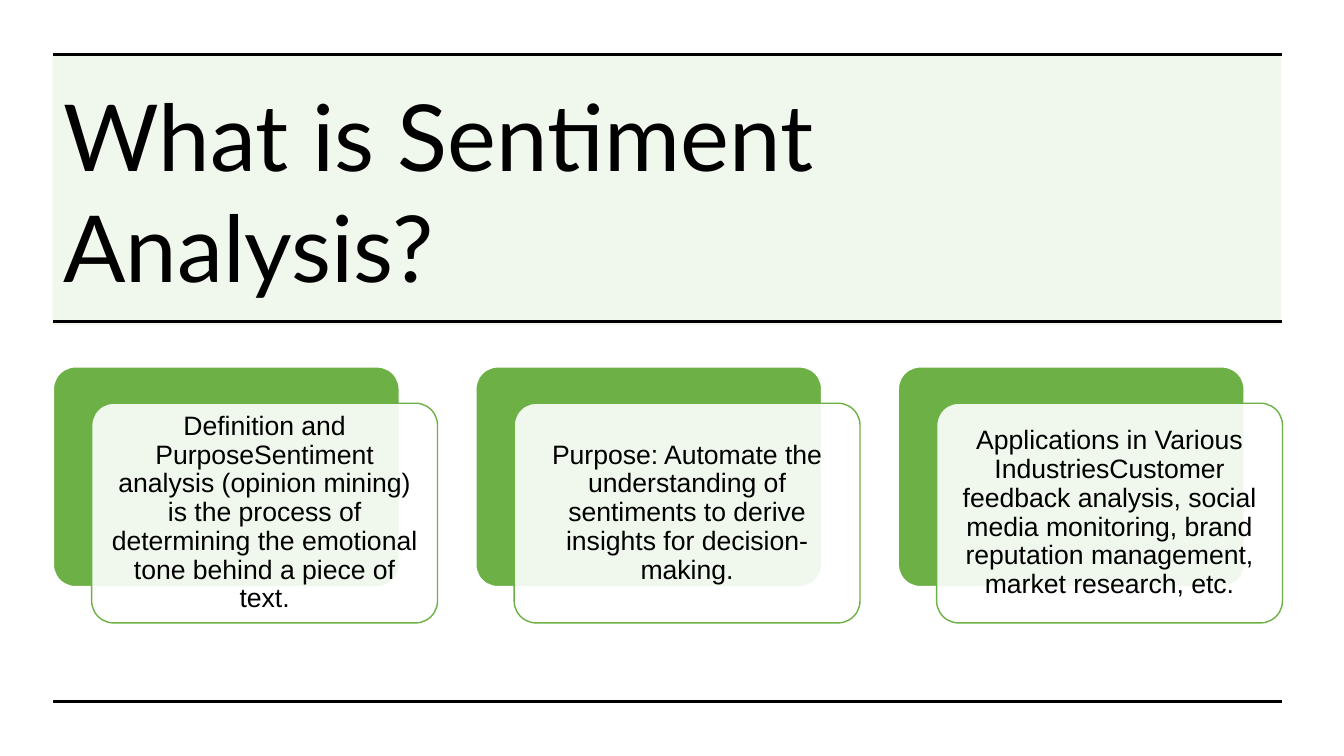
"""Build the slide that explains what sentiment analysis is."""
from lxml.etree import SubElement
from pptx import Presentation
from pptx.dml.color import RGBColor
from pptx.enum.shapes import MSO_CONNECTOR, MSO_SHAPE
from pptx.enum.text import MSO_ANCHOR, PP_ALIGN
from pptx.oxml.ns import qn
from pptx.util import Inches, Pt

TITLE = "What is Sentiment Analysis?"
CARDS = [
    "Definition and PurposeSentiment analysis (opinion mining) is the process of "
    "determining the emotional tone behind a piece of text.",
    "Purpose: Automate the understanding of sentiments to derive insights for "
    "decision-making.",
    "Applications in Various IndustriesCustomer feedback analysis, social media "
    "monitoring, brand reputation management, market research, etc.",
]
THEME = {
    "green": RGBColor(0x6D, 0xB1, 0x46),
    "white": RGBColor(0xFF, 0xFF, 0xFF),
    "black": RGBColor(0, 0, 0),
    "title_font": "Lato",
    "title_size": 66,
    "card_font": "Arial",
    "card_size": 19,
    "rule_width": 2.25,
    "outline_width": 1,
}

LEFT, RIGHT = 0.53, 12.72
RULES = [0.54, 3.19, 6.96]
CARD_TOP, CARD_WIDTH, CARD_HEIGHT = 3.64, 3.43, 2.18
CARD_PITCH = 4.19
PANEL_SHIFT = (0.38, 0.36)


def write(shape, text, *, font, size, align=PP_ALIGN.LEFT, spacing=1.0, inset=None):
    """Put one formatted, vertically centred paragraph in a shape."""
    frame = shape.text_frame
    frame.word_wrap = True
    frame.vertical_anchor = MSO_ANCHOR.MIDDLE
    if inset is not None:
        frame.margin_left = frame.margin_right = Inches(inset)
        frame.margin_top = frame.margin_bottom = Inches(inset)
    paragraph = frame.paragraphs[0]
    paragraph.alignment = align
    paragraph.line_spacing = spacing
    run = paragraph.add_run()
    run.text = text
    run.font.name = font
    run.font.size = Pt(size)
    run.font.color.rgb = THEME["black"]


def add_block(slide, kind, box, fill, opacity=100, outline=None):
    """Add a filled preset shape, with an outline if one is named."""
    block = slide.shapes.add_shape(kind, *map(Inches, box))
    block.shadow.inherit = False
    block.fill.solid()
    block.fill.fore_color.rgb = THEME[fill]
    if opacity < 100:
        colour = block.fill._xPr.find(qn("a:solidFill"))[0]
        SubElement(colour, qn("a:alpha")).set("val", str(opacity * 1000))
    if outline:
        block.line.color.rgb = THEME[outline]
        block.line.width = Pt(THEME["outline_width"])
    else:
        block.line.fill.background()
    if kind == MSO_SHAPE.ROUNDED_RECTANGLE:
        block.adjustments[0] = 0.1
    return block


def add_rule(slide, y):
    """Draw a horizontal rule between the slide margins."""
    rule = slide.shapes.add_connector(
        MSO_CONNECTOR.STRAIGHT, Inches(LEFT), Inches(y), Inches(RIGHT), Inches(y)
    )
    rule.line.color.rgb = THEME["black"]
    rule.line.width = Pt(THEME["rule_width"])
    SubElement(rule._element.spPr, qn("a:effectLst"))


def add_card(slide, index, text):
    """Draw a green backing with a translucent text panel over it."""
    left = LEFT + index * CARD_PITCH
    size = (CARD_WIDTH, CARD_HEIGHT)
    rounded = MSO_SHAPE.ROUNDED_RECTANGLE
    add_block(slide, rounded, (left, CARD_TOP, *size), "green", outline="white")
    across, down = PANEL_SHIFT
    panel = add_block(slide, rounded, (left + across, CARD_TOP + down, *size),
                      "white", opacity=90, outline="green")
    write(panel, text, font=THEME["card_font"], size=THEME["card_size"],
          align=PP_ALIGN.CENTER, spacing=0.9, inset=0.08)


def main():
    """Assemble and save the slide."""
    deck = Presentation()
    deck.slide_width, deck.slide_height = Inches(13.33), Inches(7.5)
    slide = deck.slides.add_slide(deck.slide_layouts[6])

    add_block(slide, MSO_SHAPE.RECTANGLE, (0.52, 0.53, 12.19, 2.69), "green", opacity=10)
    title = slide.shapes.add_textbox(*map(Inches, (LEFT, 1.07, 11.33, 1.63)))
    write(title, TITLE, font=THEME["title_font"], size=THEME["title_size"])
    for y in RULES:
        add_rule(slide, y)
    for index, text in enumerate(CARDS):
        add_card(slide, index, text)

    deck.save("out.pptx")


if __name__ == "__main__":
    main()
